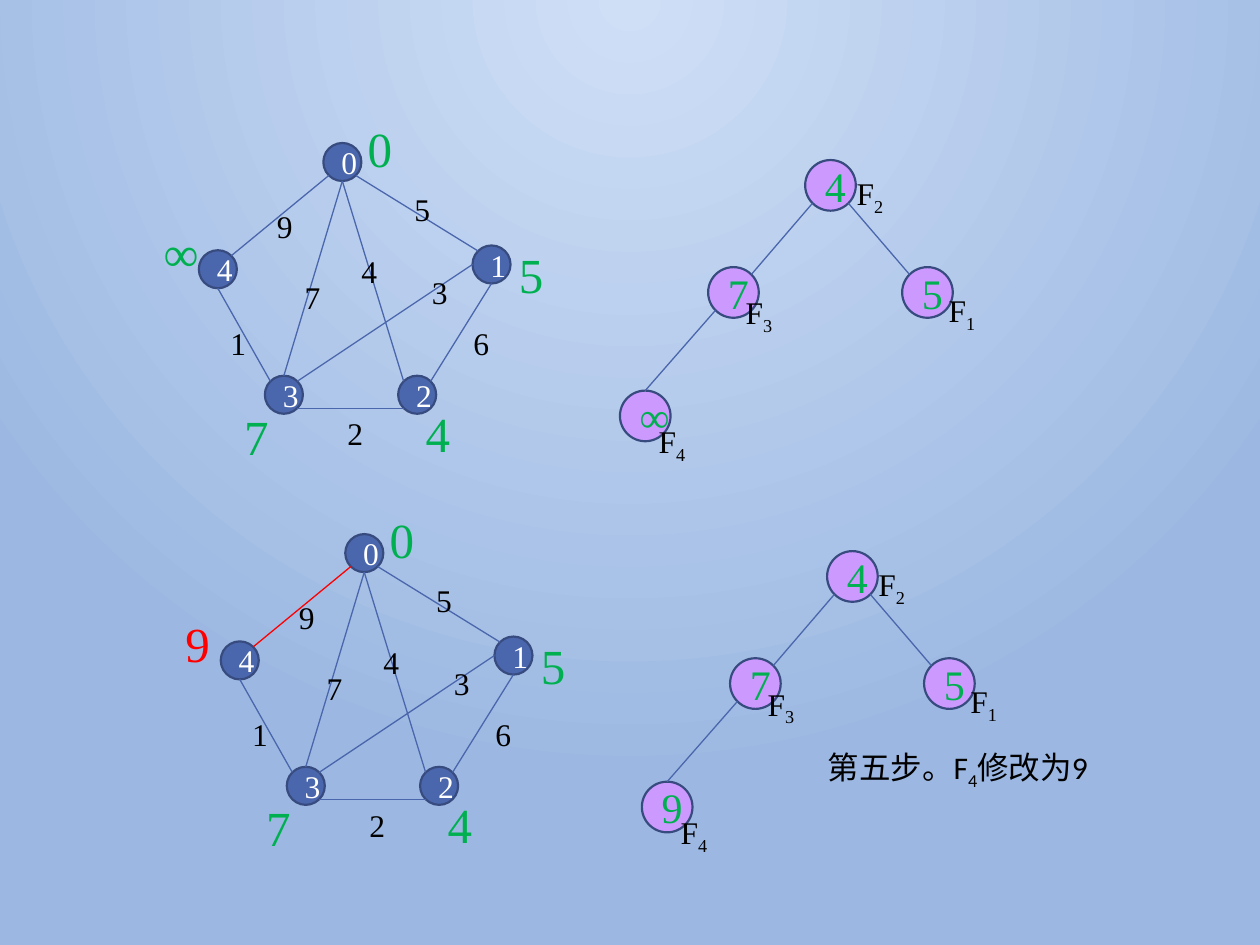
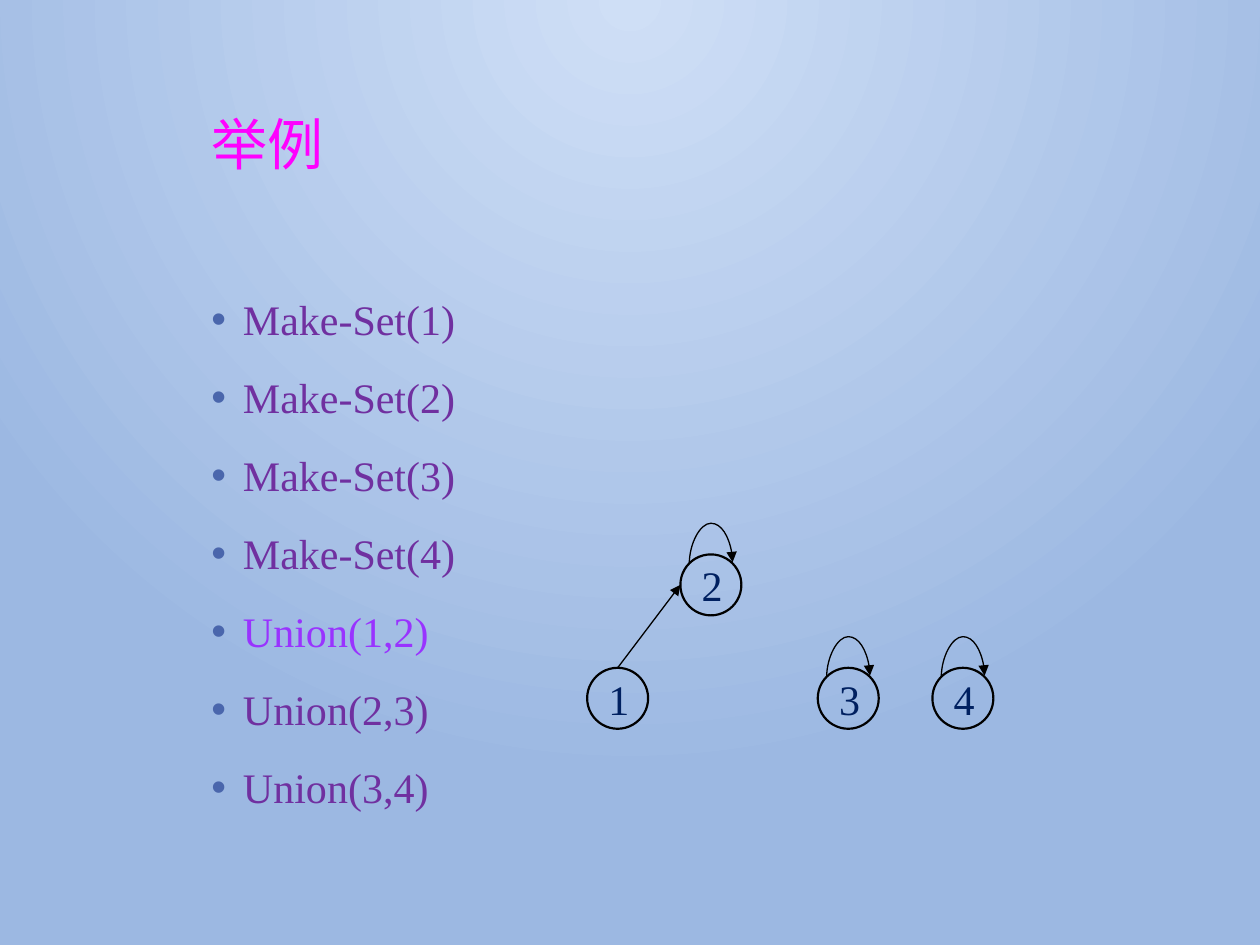
from lxml import etree
from pptx import Presentation
from pptx import util as u
from pptx.dml.color import RGBColor
from pptx.enum import shapes, text
from pptx.oxml.ns import qn

HUES = {
    "light": "CFDFF6", "sky": "9CB8E2", "blue": "4A66AC", "rim": "374B7F",
    "white": "FFFFFF", "black": "000000", "green": "00B050", "red": "FF0000",
    "lilac": "CC99FF", "navy": "002060", "pink": "FF00FF",
    "plum": "7030A0", "violet": "9933FF",
}
SERIF, SANS, HAN = "Times New Roman", "Calibri", "Noto Sans CJK SC"
COLS, ROWS = 100, 75
DIAG = 0.71
SIDES = {
    "n": (0, -1), "s": (0, 1), "w": (-1, 0), "e": (1, 0),
    "nw": (-DIAG, -DIAG), "ne": (DIAG, -DIAG),
    "sw": (-DIAG, DIAG), "se": (DIAG, DIAG),
}


def hue(name):
    return RGBColor.from_string(HUES[name])


def rim(spot, size, side):
    """Point on the edge of the circle whose box starts at spot."""
    return tuple(p + size / 2 * (1 + d) for p, d in zip(spot, SIDES[side]))


class Deck:
    def __init__(self):
        self.prs = Presentation()
        self.prs.slide_width = u.Inches(10)
        self.prs.slide_height = u.Inches(7.5)
        self.col = self.prs.slide_width / COLS
        self.row = self.prs.slide_height / ROWS
        self.paint()

    def paint(self):
        """Round gradient behind every slide, lit from the top centre."""
        master = self.prs.slide_master
        fill = master.background.fill
        fill.gradient()
        for stop, name in zip(fill.gradient_stops, ("light", "sky")):
            stop.color.rgb = hue(name)
        grad = master.element.find(".//" + qn("a:gradFill"))
        grad.remove(grad.find(qn("a:lin")))
        ring = etree.SubElement(grad, qn("a:path"), path="circle")
        etree.SubElement(ring, qn("a:fillToRect"),
                         l="43000", t="0", r="43000", b="100000")

    def slide(self):
        page = self.prs.slides.add_slide(self.prs.slide_layouts[6])
        self.page = self.area = page.shapes

    def group(self):
        self.area = self.page.add_group_shape().shapes

    def ungroup(self):
        self.area = self.page

    def place(self, *spots):
        """Turn x, y pairs of grid units into lengths."""
        return [round(v * (self.row if i % 2 else self.col))
                for i, v in enumerate(spots)]

    def style(self, run, size, color, face=SERIF):
        run.font.size = u.Pt(size)
        run.font.name = face
        run.font.color.rgb = hue(color)
        if face == HAN:
            etree.SubElement(run.font._element, qn("a:ea"), typeface=face)

    def label(self, spot, size, parts, points, color, face=SERIF, wrap=True, fit=True):
        """Text box; every second part is a subscript."""
        frame = self.area.add_textbox(*self.place(*spot, *size)).text_frame
        frame.word_wrap = wrap
        if fit:
            frame.auto_size = text.MSO_AUTO_SIZE.SHAPE_TO_FIT_TEXT
        para = frame.paragraphs[0]
        for i, part in enumerate(parts):
            run = para.add_run()
            run.text = part
            self.style(run, points, color, face)
            if i % 2:
                run.font._element.set("baseline", "-25000")
        return para

    def bullets(self, spot, size, rows, marked):
        frame = self.area.add_textbox(*self.place(*spot, *size)).text_frame
        frame.word_wrap = True
        frame.text = "\n".join(rows)
        for para in frame.paragraphs:
            para.line_spacing = 1.2
            para.space_before = u.Pt(10)
            props = para._p.get_or_add_pPr()
            props.set("marL", str(u.Inches(0.25)))
            props.set("indent", str(-u.Inches(0.25)))
            tint = etree.SubElement(props, qn("a:buClr"))
            etree.SubElement(tint, qn("a:srgbClr"), val=HUES["blue"])
            etree.SubElement(props, qn("a:buFont"), typeface="Arial")
            etree.SubElement(props, qn("a:buChar"), char="•")
            color = "violet" if para.text == marked else "plum"
            self.style(para.runs[0], 24, color)

    def node(self, spot, size, name, points, ink, fill=None, edge="rim"):
        disc = self.area.add_shape(shapes.MSO_SHAPE.OVAL,
                                   *self.place(*spot, size, size))
        disc.shadow.inherit = False
        if fill:
            disc.fill.solid()
            disc.fill.fore_color.rgb = hue(fill)
        else:
            disc.fill.background()
        disc.line.color.rgb = hue(edge)
        disc.line.width = u.Pt(1.25)
        frame = disc.text_frame
        frame.text = name
        frame.word_wrap = True
        frame.vertical_anchor = text.MSO_ANCHOR.MIDDLE
        para = frame.paragraphs[0]
        para.alignment = text.PP_ALIGN.CENTER
        self.style(para.runs[0], points, ink)

    def line(self, start, end, color="blue", arrow=False,
             kind=shapes.MSO_CONNECTOR.STRAIGHT):
        wire = self.area.add_connector(kind, *self.place(*start, *end))
        wire.line.color.rgb = hue(color)
        wire.line.width = u.Pt(0.75)
        if arrow:
            etree.SubElement(wire.line._get_or_add_ln(), qn("a:tailEnd"),
                             type="triangle")
        props = wire._element.spPr
        etree.SubElement(props, qn("a:effectLst"))
        return props

    def loop(self, spot, size):
        """Curved arrow from a circle's upper left to its upper right."""
        thin, span, rise = 0.14, size * DIAG, 3.2
        x, y = spot[0] + size / 2, spot[1] + size * (1 - DIAG) / 2
        props = self.line((x + thin / 2, y + span / 2),
                          (x - thin / 2, y - span / 2), "black", True,
                          shapes.MSO_CONNECTOR.CURVE)
        props.find(qn("a:xfrm")).set("rot", "5400000")
        bend = props.find(qn("a:prstGeom")).find(qn("a:avLst"))
        etree.SubElement(bend, qn("a:gd"), name="adj1",
                         fmla=f"val {round(rise / thin * 100000)}")


# Weighted graph: vertices, edges (vertex, side, vertex, side), weights, keys
DOT, BALL, RING = 3.02, 4.02, 4.84
VERTS = {"0": (25.66, 11.35), "4": (15.78, 19.86), "3": (21.02, 29.82),
         "2": (31.6, 29.82), "1": (37.5, 19.48)}
EDGES = [("0", "sw", "4", "ne"), ("3", "nw", "4", "s"), ("1", "nw", "0", "se"),
         ("2", "sw", "3", "se"), ("1", "s", "2", "ne"), ("2", "nw", "0", "s"),
         ("3", "n", "0", "s"), ("1", "w", "3", "ne")]
COSTS = [("9", 21, 15.9), ("5", 31.9, 14.6), ("4", 27.7, 19.5),
         ("7", 23.2, 21.6), ("1", 17.3, 25.2), ("2", 26.6, 32.4),
         ("3", 33.3, 21.2), ("6", 36.6, 25.2)]
KEYS = [("0", 28.2, 8.9), ("7", 18.4, 31.8), ("5", 40.2, 18.9), ("4", 32.8, 31.5)]

# Heap: spots of the balls, their tags and edges
HEAP = {"F2": (63.9, 12.7), "F3": (56.2, 21.2), "F1": (71.6, 21.2), "F4": (49.2, 31)}
TAGS = {"F2": (67, 13.3), "F3": (58.2, 22.8), "F1": (74.3, 22.6), "F4": (51.3, 33)}
TWIGS = [("F3", "ne", "F2", "sw"), ("F1", "nw", "F2", "se"), ("F4", "n", "F3", "sw")]


def step(deck, dx, dy, last, tone):
    """One stage: the graph on the left, its heap on the right."""
    def at(spot):
        return spot[0] + dx, spot[1] + dy

    deck.group()
    for name, spot in VERTS.items():
        deck.node(at(spot), DOT, name, 18, "white", "blue")
    for a, p, b, q in EDGES:
        fresh = tone == "red" and (a, b) == ("0", "4")
        deck.line(rim(at(VERTS[a]), DOT, p), rim(at(VERTS[b]), DOT, q),
                  "red" if fresh else "blue")
    for cost, *spot in COSTS:
        deck.label(at(spot), (3.3, 4), [cost], 18, "black", wrap=False)
    deck.label(at((12, 17.2)), (4, 5.7), [last], 28, tone)
    for key, *spot in KEYS:
        deck.label(at(spot), (4, 5.7), [key], 28, "green")
    deck.ungroup()

    for (name, spot), key in zip(HEAP.items(), ("4", "7", "5", last)):
        deck.node(at(spot), BALL, key, 24, "green", "lilac")
    for name, spot in TAGS.items():
        deck.label(at(spot), (4.3, 4), name, 18, "black", wrap=False)
    for a, p, b, q in TWIGS:
        deck.line(rim(at(HEAP[a]), BALL, p), rim(at(HEAP[b]), BALL, q))


def main():
    deck = Deck()

    # Slide 1: before and after the fifth step
    deck.slide()
    deck.label((64.7, 58.9), (28.9, 4), ["第五步。F", "4", "修改为9"],
               18, "black", SANS)
    step(deck, 0, 0, "∞", "green")
    step(deck, 1.74, 31.04, "9", "red")

    # Slide 2: calls on the left, sets on the right
    deck.slide()
    title = deck.label((15.8, 8.8), (71.9, 11.5), ["举例"], 32, "pink", HAN, fit=False)
    title.line_spacing = 0.9
    calls = [f"Make-Set({n})" for n in range(1, 5)]
    calls += [f"Union({n},{n + 1})" for n in range(1, 4)]
    deck.bullets((15.8, 22), (26.5, 44.2), calls, "Union(1,2)")

    sets = {"1": (46.6, 53), "2": (54, 44), "3": (64.9, 53), "4": (74, 53)}
    for name, spot in sets.items():
        deck.node(spot, RING, name, 24, "navy", edge="black")
    deck.line(rim(sets["1"], RING, "n"), rim(sets["2"], RING, "w"), "black", True)
    for name in "234":
        deck.loop(sets[name], RING)

    deck.prs.save("out.pptx")


if __name__ == "__main__":
    main()
